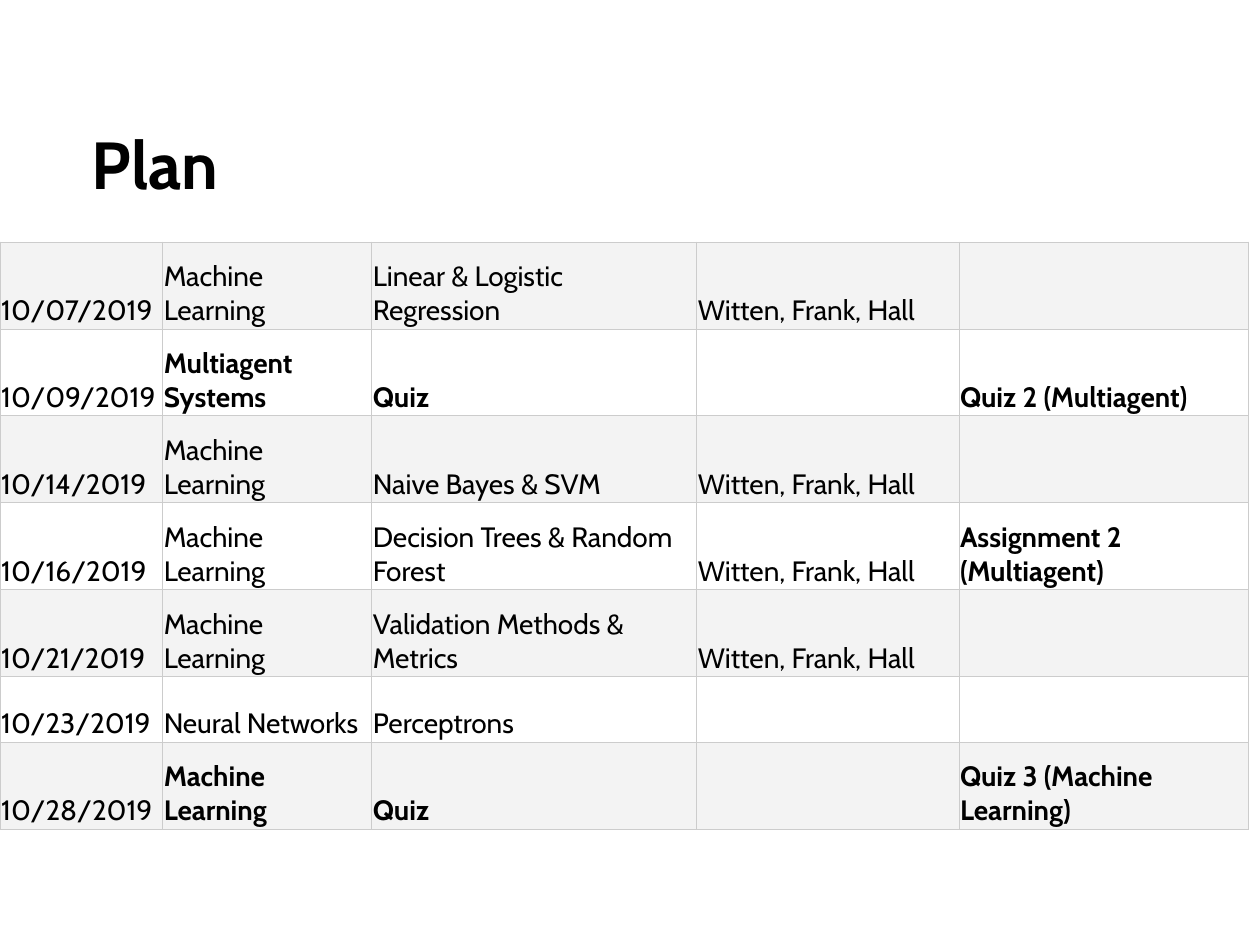
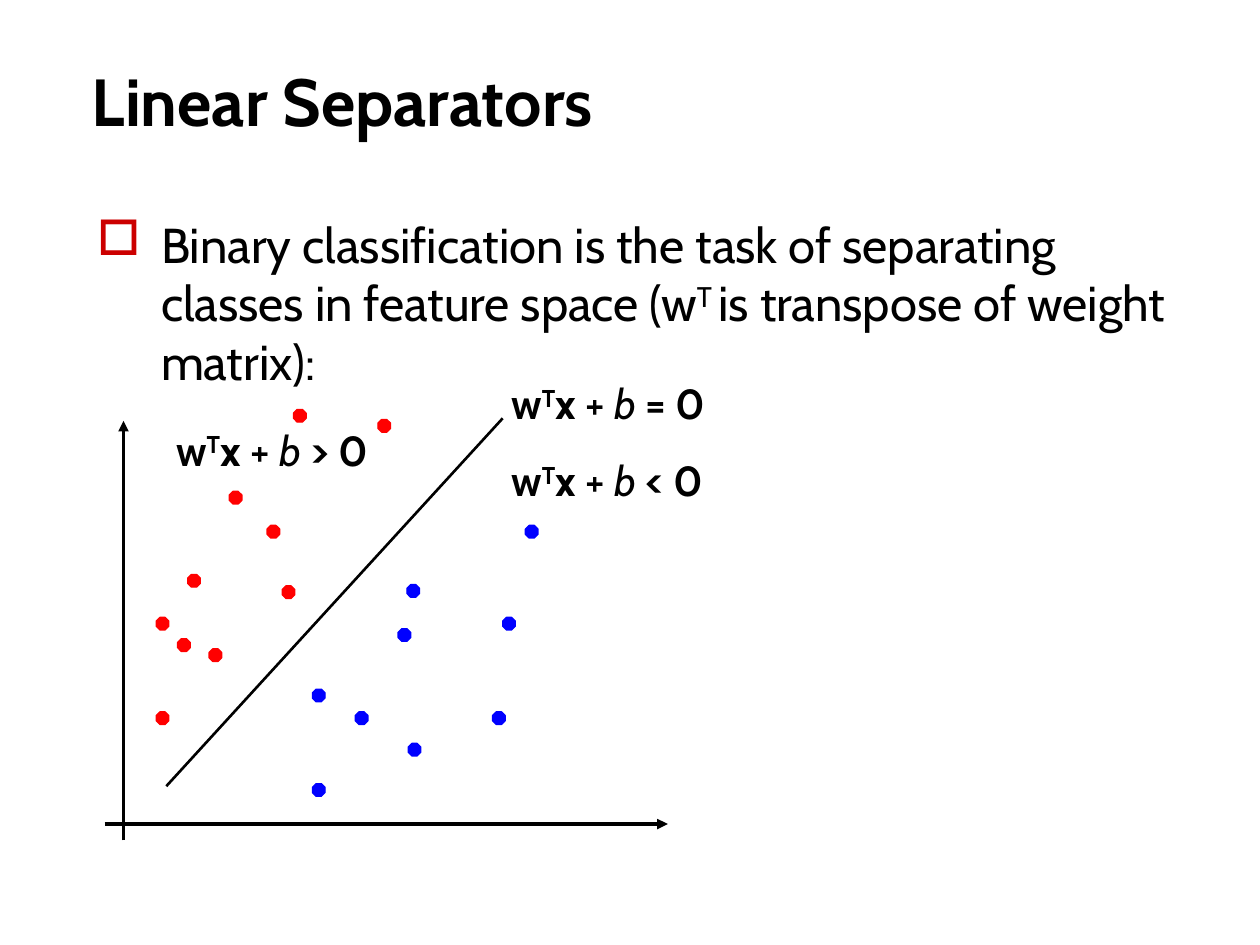
import dataclasses

import lxml.etree
import pptx
import pptx.dml.color
import pptx.enum.shapes
import pptx.enum.text
import pptx.oxml
import pptx.oxml.ns
import pptx.util

COLUMNS, ROWS = 100, 75
UNIT = pptx.util.Inches(10) // COLUMNS
FONT = "Cabin"
BLACK, WHITE, STRIPE, BORDER = "000000", "FFFFFF", "F3F3F3", "CCCCCC"
BULLET, POSITIVE, NEGATIVE = "CC0000", "FF0000", "0000FF"

AUTHORS = "Witten, Frank, Hall"
PLAN_COLUMNS = (12.9, 16.6, 25.8, 20.8, 23)
TALL_ROW, SHORT_ROW = 6.9, 5.2
PLAN = [
    ("10/07/2019", "Machine Learning", "Linear & Logistic Regression", AUTHORS, ""),
    ("10/09/2019", "Multiagent Systems", "Quiz", "", "Quiz 2 (Multiagent)"),
    ("10/14/2019", "Machine Learning", "Naive Bayes & SVM", AUTHORS, ""),
    ("10/16/2019", "Machine Learning", "Decision Trees & Random Forest", AUTHORS, "Assignment 2 (Multiagent)"),
    ("10/21/2019", "Machine Learning", "Validation Methods & Metrics", AUTHORS, ""),
    ("10/23/2019", "Neural Networks", "Perceptrons", "", ""),
    ("10/28/2019", "Machine Learning", "Quiz", "", "Quiz 3 (Machine Learning)"),
]

DOT_SIZE = 1
DOTS = {
    POSITIVE: [(12.9, 9.2), (6.6, 13.1), (8.3, 19), (4.1, 24), (9.9, 6.5),
               (4.1, 16.5), (5.8, 18.2), (14.1, 14), (15, 0), (21.7, 0.8)],
    NEGATIVE: [(24, 13.9), (19.9, 24), (30.8, 24), (16.5, 29.7), (23.3, 17.4),
               (16.5, 22.2), (24.1, 26.5), (31.6, 16.5), (33.4, 9.2)],
}
LABELS = {"=": (31.3, -3), "<": (31.3, 3.1), ">": (4.7, 0.7)}


@dataclasses.dataclass
class Box:
    """A region measured in grid columns and rows."""

    left: float
    top: float
    width: float
    height: float

    def inside(self, column, row, width=0, height=0):
        """Return a box placed relative to this one."""
        return Box(self.left + column, self.top + row, width, height)

    def lengths(self):
        """Return left, top, width and height as slide lengths."""
        return [grid(value) for value in (self.left, self.top, self.width, self.height)]


def grid(cells):
    """Convert grid cells to a slide length."""
    return pptx.util.Emu(round(cells * UNIT))


def color(value):
    """Convert a hex string to a colour."""
    return pptx.dml.color.RGBColor.from_string(value)


def add_child(parent, tag, **attributes):
    """Append a drawing element to a parent element."""
    return lxml.etree.SubElement(parent, pptx.oxml.ns.qn(tag), attributes)


def write(paragraph, text, size, bold=False, italic=False, raised=False):
    """Add a formatted run to a paragraph."""
    run = paragraph.add_run()
    run.text = text
    run.font.name = FONT
    run.font.size = pptx.util.Pt(size)
    run.font.bold = bold
    run.font.italic = italic
    run.font.color.rgb = color(BLACK)
    if raised:
        run.font._element.set("baseline", "30000")


def add_text_box(slide, box, anchor=pptx.enum.text.MSO_ANCHOR.TOP):
    """Add a wrapping text box and return its first paragraph."""
    frame = slide.shapes.add_textbox(*box.lengths()).text_frame
    frame.word_wrap = True
    frame.vertical_anchor = anchor
    return frame.paragraphs[0]


def add_title(slide, box, text):
    """Write the slide title at the bottom of its box."""
    paragraph = add_text_box(slide, box, pptx.enum.text.MSO_ANCHOR.BOTTOM)
    write(paragraph, text, 38, bold=True)


def add_line(slide, start, end, width, arrow=False):
    """Draw a straight line between two grid points."""
    points = [grid(value) for point in (start, end) for value in (point.left, point.top)]
    line = slide.shapes.add_connector(pptx.enum.shapes.MSO_CONNECTOR.STRAIGHT, *points)
    line.line.color.rgb = color(BLACK)
    line.line.width = pptx.util.Pt(width)
    if arrow:
        add_child(line.line._get_or_add_ln(), "a:tailEnd", type="triangle")
    add_child(line._element.spPr, "a:effectLst")


def add_dot(slide, box, fill):
    """Draw one data point."""
    dot = slide.shapes.add_shape(pptx.enum.shapes.MSO_SHAPE.OCTAGON, *box.lengths())
    dot.shadow.inherit = False
    dot.fill.solid()
    dot.fill.fore_color.rgb = color(fill)
    dot.line.color.rgb = color(fill)
    dot.line.width = pptx.util.Pt(0.75)


def format_cell(cell, text, fill, bold):
    """Fill, border and write one table cell."""
    cell.margin_left = cell.margin_right = cell.margin_top = cell.margin_bottom = grid(0.1)
    cell.vertical_anchor = pptx.enum.text.MSO_ANCHOR.BOTTOM
    properties = cell._tc.get_or_add_tcPr()
    for side in ("a:lnL", "a:lnR", "a:lnT", "a:lnB"):
        border = add_child(properties, side, w=str(pptx.util.Pt(0.38)))
        add_child(add_child(border, "a:solidFill"), "a:srgbClr", val=BORDER)
    cell.fill.solid()
    cell.fill.fore_color.rgb = color(fill)
    if text:
        write(cell.text_frame.paragraphs[0], text, 16, bold=bold)


def add_plan_table(slide, box):
    """Build the striped schedule, with assessments in bold."""
    frame = slide.shapes.add_table(len(PLAN), len(PLAN_COLUMNS), *box.lengths())
    table = frame.table
    table.first_row = table.horz_banding = False
    for column, width in zip(table.columns, PLAN_COLUMNS):
        column.width = grid(width)
    for index, entries in enumerate(PLAN):
        topic = entries[2]
        table.rows[index].height = grid(SHORT_ROW if topic == "Perceptrons" else TALL_ROW)
        fill = WHITE if index % 2 else STRIPE
        for position, text in enumerate(entries):
            bold = position == 4 or (topic == "Quiz" and position > 0)
            format_cell(table.cell(index, position), text, fill, bold)


def add_definition(slide, box):
    """Write the bulleted definition of binary classification."""
    paragraph = add_text_box(slide, box)
    properties = paragraph._p.get_or_add_pPr()
    properties.set("marL", str(grid(5.1)))
    properties.set("indent", str(grid(-5.1)))
    add_child(add_child(properties, "a:buClr"), "a:srgbClr", val=BULLET)
    add_child(properties, "a:buChar", char="□")
    write(paragraph, "Binary classification is the task of separating classes in feature space (w", 28)
    write(paragraph, "T ", 28, raised=True)
    write(paragraph, "is transpose of weight matrix):", 28)


def add_equation(slide, box, relation):
    """Write the linear equation with the given relation to zero."""
    paragraph = add_text_box(slide, box)
    write(paragraph, "w", 24, bold=True)
    write(paragraph, "T", 24, bold=True, raised=True)
    write(paragraph, "x ", 24, bold=True)
    write(paragraph, "+ ", 24)
    write(paragraph, "b", 24, italic=True)
    write(paragraph, f" {relation} 0", 24, bold=True)


def add_separator_plot(slide, box):
    """Draw the axes, both classes, the separator and its equations."""
    axis_column, axis_row = 1.5, 32.9
    add_line(slide, box.inside(axis_column, box.height), box.inside(axis_column, 0.9), 2, arrow=True)
    add_line(slide, box.inside(0, axis_row), box.inside(box.width, axis_row), 2, arrow=True)
    for fill, places in DOTS.items():
        for place in places:
            add_dot(slide, box.inside(*place, DOT_SIZE, DOT_SIZE), fill)
    add_line(slide, box.inside(4.9, 29.9), box.inside(31.6, 0.7), 1.5)
    for relation, place in LABELS.items():
        add_equation(slide, box.inside(*place, 29.2, 5), relation)


def add_blank_slide(presentation):
    """Add a white slide on the blank layout."""
    slide = presentation.slides.add_slide(presentation.slide_layouts[6])
    slide.background.fill.solid()
    slide.background.fill.fore_color.rgb = color(WHITE)
    return slide


def build_plan_slide(presentation):
    """Build the schedule slide."""
    slide = add_blank_slide(presentation)
    add_title(slide, Box(6.3, 3.3, 87.5, 13.3), "Plan")
    add_plan_table(slide, Box(0, 19.2, sum(PLAN_COLUMNS), 46.7))


def build_separators_slide(presentation):
    """Build the linear separators slide."""
    slide = add_blank_slide(presentation)
    add_title(slide, Box(6.3, 3.3, 87.5, 8.3), "Linear Separators")
    add_definition(slide, Box(6.7, 16.5, 90, 55))
    add_separator_plot(slide, Box(8.3, 32.5, 44.7, 34.2))


def main():
    """Build and save the presentation."""
    presentation = pptx.Presentation()
    presentation.slide_width = grid(COLUMNS)
    presentation.slide_height = grid(ROWS)
    build_plan_slide(presentation)
    build_separators_slide(presentation)
    presentation.save("out.pptx")


if __name__ == "__main__":
    main()
